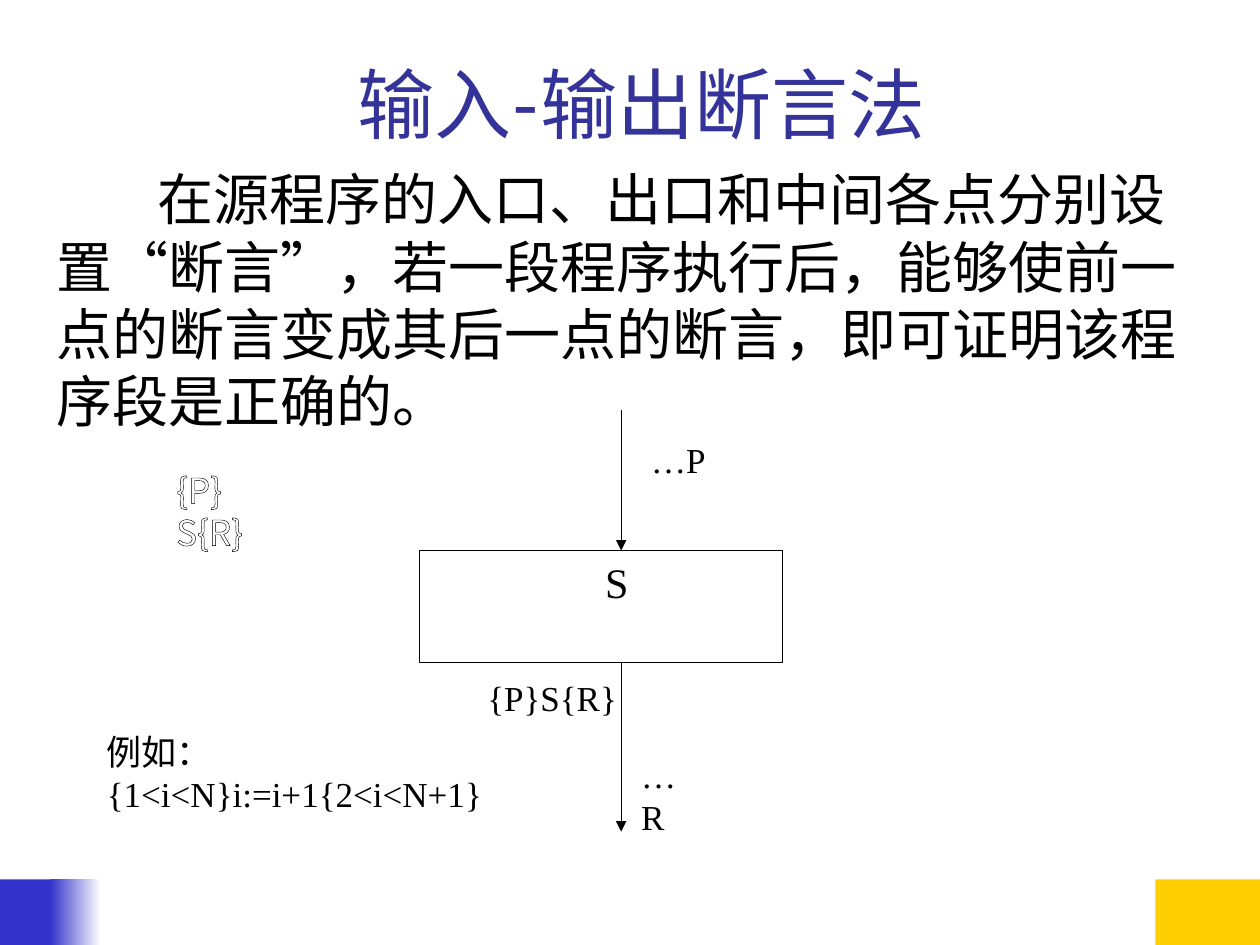
from lxml import etree
from pptx import Presentation
from pptx.dml.color import RGBColor
from pptx.enum.shapes import MSO_CONNECTOR, MSO_SHAPE
from pptx.enum.text import MSO_ANCHOR, MSO_AUTO_SIZE, PP_ALIGN
from pptx.oxml.ns import qn
from pptx.util import Inches, Pt

BLACK = RGBColor(0, 0, 0)
WHITE = RGBColor(0xFF, 0xFF, 0xFF)
TITLE_BLUE = RGBColor(0x33, 0x33, 0x99)
FOOTER_BLUE = RGBColor(0x33, 0x33, 0xCC)
FOOTER_YELLOW = RGBColor(0xFF, 0xCF, 0x01)
SERIF, SANS, CJK = "Times New Roman", "Lato", "Noto Sans CJK SC"


def add_run(paragraph, text, size, color=BLACK, font=SERIF, east_asian=SANS):
    run = paragraph.add_run()
    run.text = text
    run.font.size = Pt(size)
    run.font.name = font
    run.font.color.rgb = color
    latin = run.font._element.find(qn("a:latin"))
    east_asian_font = etree.Element(qn("a:ea"), typeface=east_asian)
    latin.addnext(east_asian_font)
    return run


def outline_run(run, color, width):
    """Draw the letters of the run as outlines."""
    line = etree.Element(qn("a:ln"), w=str(Pt(width)))
    fill = etree.SubElement(line, qn("a:solidFill"))
    etree.SubElement(fill, qn("a:srgbClr"), val=str(color))
    run.font._element.insert(0, line)


def add_text_frame(slide, left, top, width, height, wrap=False):
    """Add a text box, which fits its text when it does not wrap."""
    box = slide.shapes.add_textbox(
        Inches(left), Inches(top), Inches(width), Inches(height))
    frame = box.text_frame
    frame.word_wrap = wrap
    if not wrap:
        frame.auto_size = MSO_AUTO_SIZE.SHAPE_TO_FIT_TEXT
    return frame


def add_label(slide, left, top, width, height, *lines):
    frame = add_text_frame(slide, left, top, width, height)
    for index, text in enumerate(lines):
        paragraph = frame.add_paragraph() if index else frame.paragraphs[0]
        add_run(paragraph, text, 20)


def add_rectangle(slide, left, top, width, height, color):
    shape = slide.shapes.add_shape(
        MSO_SHAPE.RECTANGLE,
        Inches(left), Inches(top), Inches(width), Inches(height))
    shape.shadow.inherit = False
    shape.fill.solid()
    shape.fill.fore_color.rgb = color
    shape.line.fill.background()
    return shape


def add_arrow_down(slide, x, top, bottom):
    arrow = slide.shapes.add_connector(
        MSO_CONNECTOR.STRAIGHT,
        Inches(x), Inches(top), Inches(x), Inches(bottom))
    arrow.line.color.rgb = BLACK
    arrow.line.width = Pt(0.75)
    etree.SubElement(arrow.line._get_or_add_ln(), qn("a:tailEnd"), type="triangle")
    etree.SubElement(arrow._element.spPr, qn("a:effectLst"))


def add_footer(slide, top, height):
    add_rectangle(slide, 9.17, top, 0.83, height, FOOTER_YELLOW)
    add_rectangle(slide, 0, top, 0.46, height, FOOTER_BLUE)
    fade = add_rectangle(slide, 0.4, top, 0.4, height, FOOTER_BLUE)
    fade.fill.gradient()
    fade.fill.gradient_angle = 0
    for stop, color, position in zip(
            fade.fill.gradient_stops, (FOOTER_BLUE, WHITE), (0, 1)):
        stop.color.rgb = color
        stop.position = position


def add_title(slide, left, top, width, height):
    frame = add_text_frame(slide, left, top, width, height, wrap=True)
    frame.vertical_anchor = MSO_ANCHOR.BOTTOM
    paragraph = frame.paragraphs[0]
    paragraph.alignment = PP_ALIGN.CENTER
    add_run(paragraph, "输入-输出断言法", 44, TITLE_BLUE, SANS)


def add_description(slide, left, top, width, height):
    frame = add_text_frame(slide, left, top, width, height, wrap=True)
    paragraph = frame.paragraphs[0]
    paragraph._p.get_or_add_pPr().set("indent", str(Inches(0.8)))
    paragraph.line_spacing = Pt(38.4)
    add_run(
        paragraph,
        "在源程序的入口、出口和中间各点分别设置“断言”，若一段程序执行后，"
        "能够使前一点的断言变成其后一点的断言，即可证明该程序段是正确的。",
        32, east_asian=CJK)


def add_flow(slide, left, top, width, height):
    """Place the statement box with its entry and exit arrows and assertions."""
    statement = add_rectangle(slide, left, top, width, height, WHITE)
    statement.line.color.rgb = BLACK
    statement.line.width = Pt(0.75)
    frame = statement.text_frame
    frame.vertical_anchor = MSO_ANCHOR.TOP
    paragraph = frame.paragraphs[0]
    paragraph.alignment = PP_ALIGN.CENTER
    paragraph._p.get_or_add_pPr().set("marL", str(Inches(0.25)))
    add_run(paragraph, "S", 24)

    arrow_x, bottom = left + 1.6, top + height
    add_arrow_down(slide, arrow_x, top - 1.12, top)
    add_arrow_down(slide, arrow_x, bottom, bottom + 1.34)
    add_label(slide, arrow_x + 0.14, top - 0.94, 0.63, 0.44, "…P")
    add_label(slide, arrow_x - 1.16, bottom + 0.06, 1.23, 0.44, "{P}S{R}")
    add_label(slide, arrow_x + 0.06, bottom + 0.67, 0.66, 0.44, "…R")


def add_outlined_formula(slide, left, top, width, height):
    frame = add_text_frame(slide, left, top, width, height)
    run = add_run(frame.paragraphs[0], "{P}S{R}", 20, WHITE, CJK, CJK)
    outline_run(run, BLACK, 0.75)


def main():
    presentation = Presentation()
    presentation.slide_width = Inches(10)
    presentation.slide_height = Inches(7.5)
    slide = presentation.slides.add_slide(presentation.slide_layouts[6])
    add_footer(slide, 6.98, 0.52)
    add_title(slide, 0.83, 0.28, 8.52, 0.95)
    add_flow(slide, 3.33, 4.37, 2.88, 0.89)
    add_description(slide, 0.35, 1.26, 9.21, 2.24)
    add_outlined_formula(slide, 1.3, 3.67, 1.09, 0.28)
    add_label(slide, 0.75, 5.75, 3.18, 0.77, "例如：", "{1<i<N}i:=i+1{2<i<N+1}")
    presentation.save("out.pptx")


if __name__ == "__main__":
    main()
